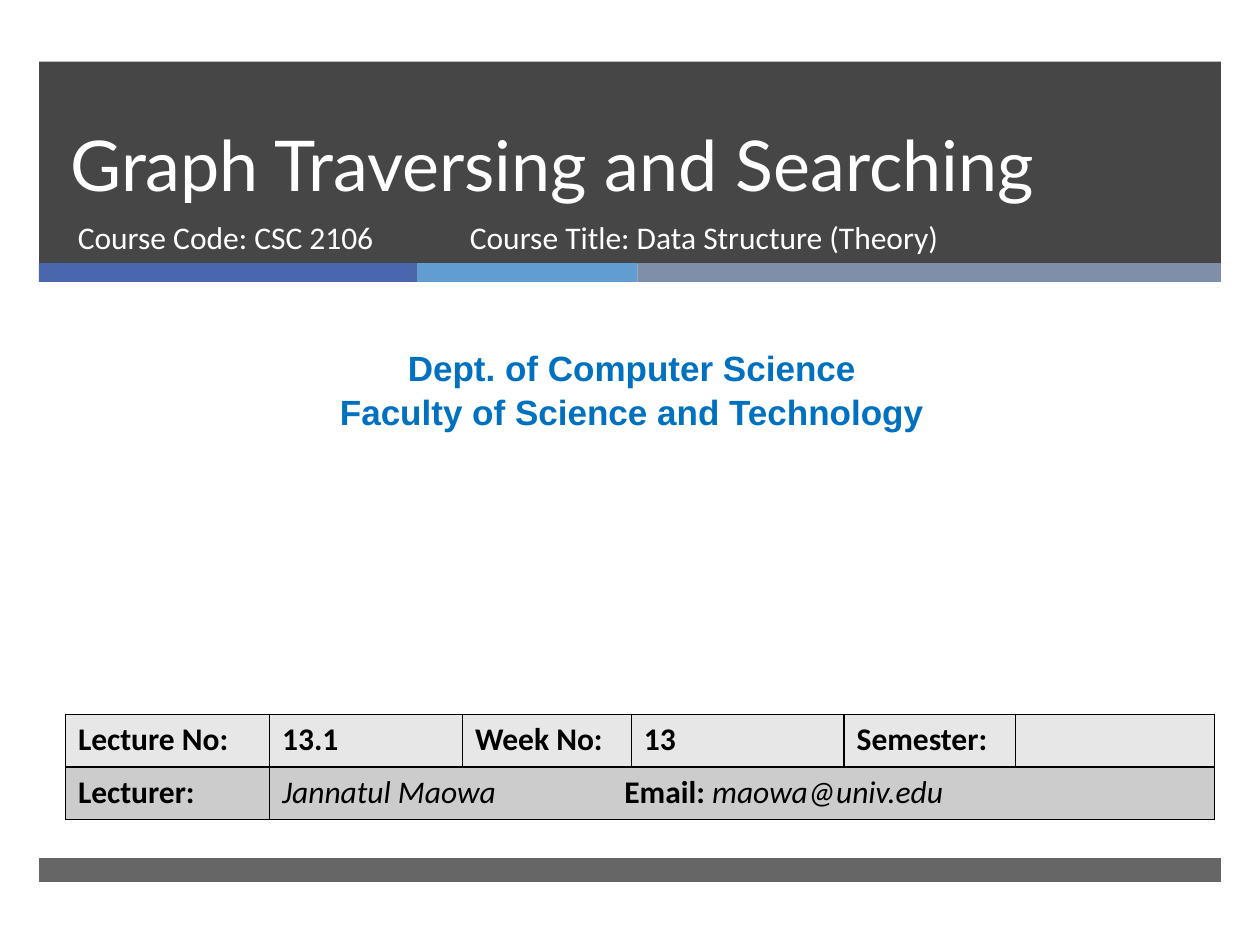
from lxml import etree
from pptx import Presentation
from pptx.dml.color import RGBColor
from pptx.enum.shapes import MSO_SHAPE
from pptx.enum.text import MSO_ANCHOR, PP_ALIGN
from pptx.oxml.ns import qn
from pptx.util import Pt

RECT = MSO_SHAPE.RECTANGLE
LEFT, CENTER = PP_ALIGN.LEFT, PP_ALIGN.CENTER
BOTTOM = MSO_ANCHOR.BOTTOM

COLORS = {
    "dark": "262626", "indigo": "4A66AC", "sky": "629DD1", "slate": "7F8FA9",
    "white": "FFFFFF", "dept": "0070C0", "black": "000000",
    "row_light": "E7E7E7", "row_dark": "CCCCCC",
}


def add_text(paragraph, text, color, **font_format):
    run = paragraph.add_run()
    run.text = text
    run.font.color.rgb = RGBColor.from_string(COLORS[color])
    for attribute, value in font_format.items():
        setattr(run.font, attribute, value)


def set_borders(cell):
    """Draw a 1 pt black line on all four sides of a table cell."""
    properties = cell._tc.get_or_add_tcPr()
    for position, side in enumerate(("a:lnL", "a:lnR", "a:lnT", "a:lnB")):
        line = etree.Element(qn(side), w=str(Pt(1)))
        fill = etree.SubElement(line, qn("a:solidFill"))
        etree.SubElement(fill, qn("a:srgbClr"), val=COLORS["black"])
        properties.insert(position, line)


prs = Presentation()
prs.slide_width, prs.slide_height = Pt(720), Pt(540)
slide = prs.slides.add_slide(prs.slide_layouts[5])
shapes = slide.shapes

# Header band, three-colour stripe and footer band: box, colour, opacity in %
bands = [
    ((22.3, 35.3, 675.4, 115.7), "dark", 85),
    ((22.3, 150.3, 216, 10.8), "indigo", 100),
    ((238.3, 150.3, 126, 10.8), "sky", 100),
    ((364.3, 150.3, 333.4, 10.8), "slate", 100),
    ((22.3, 490.3, 675.4, 13.7), "dark", 70),
]
for box, color, opacity in bands:
    band = shapes.add_shape(RECT, *map(Pt, box))
    band.shadow.inherit = False
    band.line.fill.background()
    band.fill.solid()
    band.fill.fore_color.rgb = RGBColor.from_string(COLORS[color])
    if opacity < 100:
        tint = band._element.spPr.find(".//" + qn("a:srgbClr"))
        etree.SubElement(tint, qn("a:alpha"), val=str(opacity * 1000))

# Title, brought in front of the header band
title = shapes.title
title.left, title.top, title.width, title.height = map(Pt, (33.1, 35.3, 615, 85.7))
title.text_frame.vertical_anchor = BOTTOM
heading = title.text_frame.paragraphs[0]
heading.alignment = LEFT
heading.line_spacing = Pt(46)
add_text(heading, "Graph Traversing and Searching", "white", size=Pt(40), name="Lato")
shapes._spTree.append(title._element)

# Course details and department
course_font = {"size": Pt(18), "name": "Calibri"}
dept_font = {"size": Pt(20), "name": "Arial", "bold": True}
text_boxes = [
    ((37.4, 121, 219.6, 38.2), ["Course Code: CSC 2106"],
     "white", LEFT, 1.0, course_font),
    ((261.4, 121.3, 327.6, 38.2), ["Course Title: Data Structure (Theory)"],
     "white", LEFT, 1.0, course_font),
    ((5.8, 193, 710.6, 55.4),
     ["Dept. of Computer Science", "Faculty of Science and Technology"],
     "dept", CENTER, 1.05, dept_font),
]
for box, lines, color, alignment, spacing, font_format in text_boxes:
    frame = shapes.add_textbox(*map(Pt, box)).text_frame
    frame.word_wrap = True
    for index, line in enumerate(lines):
        paragraph = frame.paragraphs[0] if index == 0 else frame.add_paragraph()
        paragraph.alignment = alignment
        paragraph.line_spacing = spacing
        add_text(paragraph, line, color, **font_format)

# Lecture table
column_widths = [116.7, 110.2, 96.5, 121.6, 97.9, 113.8]
row_fills = ["row_light", "row_dark"]
lecture = shapes.add_table(2, 6, Pt(37.4), Pt(408.2), Pt(sum(column_widths)), Pt(60)).table
for column, width in zip(lecture.columns, column_widths):
    column.width = Pt(width)
for row, fill_color in zip(lecture.rows, row_fills):
    row.height = Pt(30)
    for cell in row.cells:
        cell.fill.solid()
        cell.fill.fore_color.rgb = RGBColor.from_string(COLORS[fill_color])
        set_borders(cell)
lecturer = lecture.cell(1, 1)
lecturer.merge(lecture.cell(1, 5))

labels = [["Lecture No:", "13.1", "Week No:", "13", "Semester:"], ["Lecturer:"]]
for row_index, row_labels in enumerate(labels):
    for column_index, label in enumerate(row_labels):
        paragraph = lecture.cell(row_index, column_index).text_frame.paragraphs[0]
        add_text(paragraph, label, "black", bold=True, **course_font)

contact = lecturer.text_frame.paragraphs[0]
tab_stops = etree.SubElement(contact._p.get_or_add_pPr(), qn("a:tabLst"))
etree.SubElement(tab_stops, qn("a:tab"), pos=str(Pt(195.5)), algn="l")
for text, bold in [("Jannatul Maowa\t", False), ("Email: ", True), ("maowa@univ.edu", False)]:
    add_text(contact, text, "black", bold=bold, italic=not bold, **course_font)

prs.save("out.pptx")
